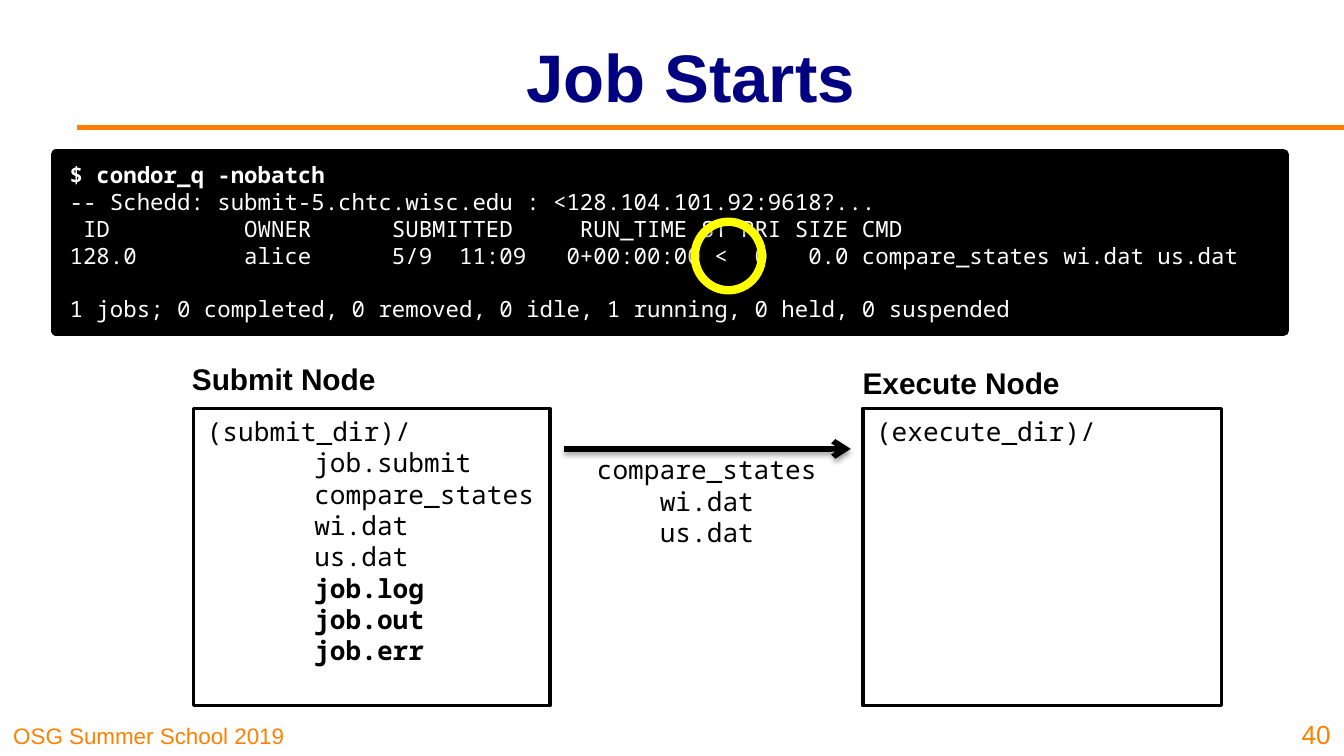
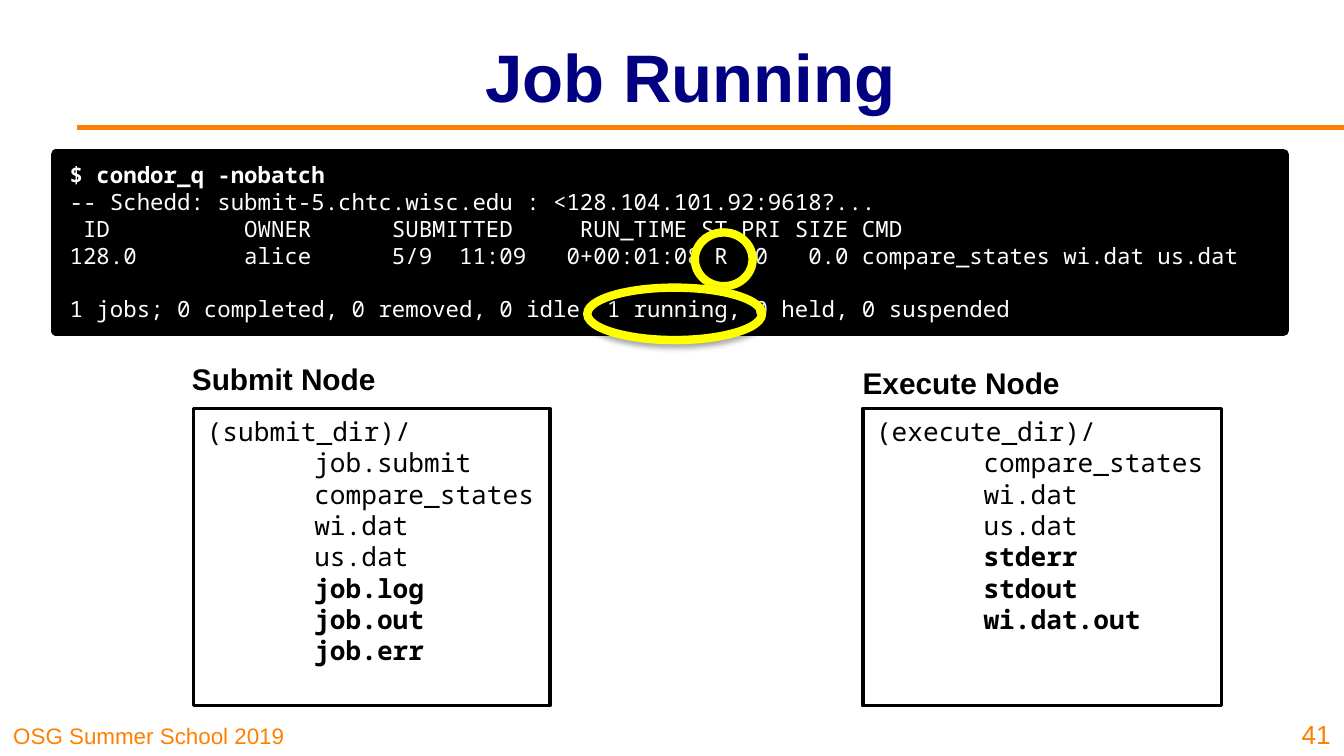
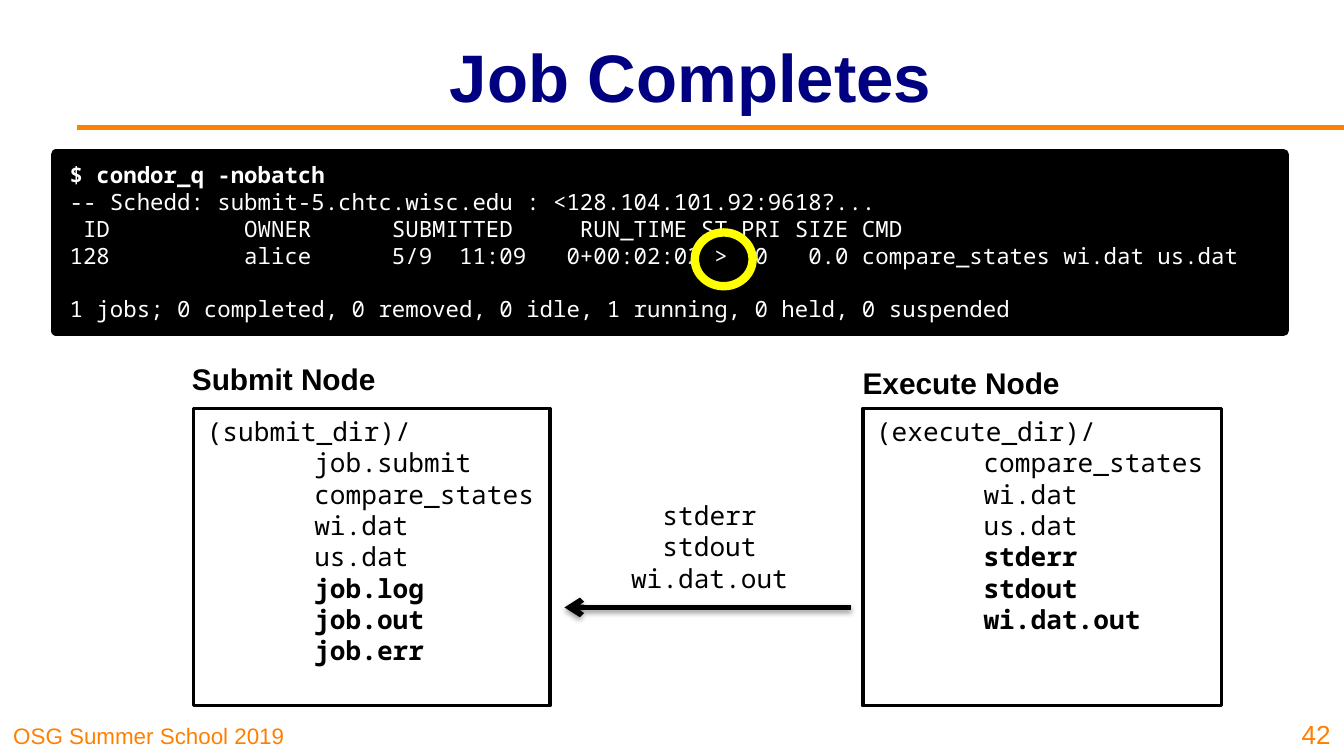
from lxml.etree import SubElement
from pptx import Presentation
from pptx.dml.color import RGBColor
from pptx.enum.shapes import MSO_CONNECTOR, MSO_SHAPE
from pptx.enum.text import MSO_ANCHOR, PP_ALIGN
from pptx.oxml.ns import qn
from pptx.util import Inches, Pt

COLORS = {
    "title": "000080",
    "accent": "FF8000",
    "ink": "000000",
    "paper": "FFFFFF",
    "highlight": "FFFF00",
}
COLORS = {name: RGBColor.from_string(value) for name, value in COLORS.items()}
SANS, MONO = "Arial", "Noto Sans Mono"
TOP, MIDDLE, BOTTOM = MSO_ANCHOR.TOP, MSO_ANCHOR.MIDDLE, MSO_ANCHOR.BOTTOM
LEFT, CENTER, RIGHT = PP_ALIGN.LEFT, PP_ALIGN.CENTER, PP_ALIGN.RIGHT

deck = Presentation()
deck.slide_width, deck.slide_height = Inches(10), Inches(5.625)
CELL = deck.slide_width / 100


def write(box, text, font, size, color, bold=False, align=LEFT, anchor=TOP):
    frame = box.text_frame
    frame.word_wrap = True
    frame.vertical_anchor = anchor
    frame.text = text
    for para in frame.paragraphs:
        para.alignment = align
        for span in para.runs:
            span.font.name, span.font.size, span.font.bold = font, Pt(size), bold
            span.font.color.rgb = COLORS[color]
    return frame.paragraphs


def outline(shape, color, width, shadow=None):
    shape.line.color.rgb = COLORS[color]
    shape.line.width = Pt(width)
    effects = SubElement(shape._element.spPr, qn("a:effectLst"))
    if shadow:
        opacity, distance = shadow
        cast = SubElement(effects, qn("a:outerShdw"), blurRad=str(Pt(3.1)),
                          dist=str(Pt(distance)), dir="5400000", rotWithShape="0")
        tint = SubElement(cast, qn("a:srgbClr"), val=str(COLORS["ink"]))
        SubElement(tint, qn("a:alpha"), val=str(opacity * 1000))


SUBMIT_FILES = ["job.submit", "compare_states", "wi.dat", "us.dat", "job.log", "job.out", "job.err"]
INPUTS = ["compare_states", "wi.dat", "us.dat"]
OUTPUTS = ["stderr", "stdout", "wi.dat.out"]
SUBMIT_EDGE, EXECUTE_EDGE = 42, 63.3

STAGES = [
    {
        "title": "Job Starts",
        "job": "128.0        alice      5/9  11:09   0+00:00:00 <  0   0.0",
        "rings": [(51.7, 16.5, 5, 5.1)],
        "execute_files": [],
        "transfer": (INPUTS, (42.7, 31.9, 19.8, 10.7), (SUBMIT_EDGE, EXECUTE_EDGE), 33.4),
    },
    {
        "title": "Job Running",
        "job": "128.0        alice      5/9  11:09   0+00:01:08 R  0   0.0",
        "rings": [(51.7, 17.3, 4.3, 4), (43.7, 21.4, 13, 3.9)],
        "execute_files": INPUTS + OUTPUTS,
        "transfer": None,
    },
    {
        "title": "Job Completes",
        "job": "128          alice      5/9  11:09   0+00:02:02 >  0   0.0",
        "rings": [(51.7, 17.3, 4.3, 4)],
        "execute_files": INPUTS + OUTPUTS,
        "transfer": (OUTPUTS, (45.4, 35.7, 14.8, 9.9), (EXECUTE_EDGE, SUBMIT_EDGE), 45.2),
    },
]

for number, stage in enumerate(STAGES, start=40):
    page = deck.slides.add_slide(deck.slide_layouts[6])
    shapes = page.shapes

    rule = shapes.add_connector(MSO_CONNECTOR.STRAIGHT, *(int(n * CELL) for n in (5.7, 9.5, 100, 9.5)))
    outline(rule, "accent", 3)

    for text, area, style in [
        ("OSG Summer School 2019", (0, 53.1, 24.8, 3.1), (SANS, 12, "accent", False, LEFT, BOTTOM)),
        (stage["title"], (13.4, 0.9, 76, 9.4), (SANS, 36, "title", True, CENTER, MIDDLE)),
        (str(number), (95.4, 52.5, 4.6, 3.8), (SANS, 14, "accent", False, RIGHT, BOTTOM)),
        ("Submit Node", (13.3, 26, 16.8, 4.3), (SANS, 16, "ink", True, LEFT, MIDDLE)),
        ("Execute Node", (63.2, 26.3, 16.8, 4.3), (SANS, 16, "ink", True, LEFT, MIDDLE)),
    ]:
        box = shapes.add_textbox(*(int(n * CELL) for n in area))
        write(box, text, *style)

    if stage["transfer"]:
        files, area, (start, end), height = stage["transfer"]
        label = shapes.add_shape(MSO_SHAPE.RECTANGLE, *(int(n * CELL) for n in area))
        label.fill.solid()
        label.fill.fore_color.rgb = COLORS["paper"]
        outline(label, "paper", 2)
        write(label, "\n".join(files), MONO, 14, "ink", align=CENTER, anchor=MIDDLE)

        arrow = shapes.add_connector(
            MSO_CONNECTOR.STRAIGHT, *(int(n * CELL) for n in (start, height, end, height)))
        outline(arrow, "ink", 3, shadow=(38, 1.6))
        SubElement(arrow.line._get_or_add_ln(), qn("a:tailEnd"), type="arrow")

    terminal = shapes.add_shape(MSO_SHAPE.RECTANGLE, *(int(n * CELL) for n in (4.2, 11.5, 91.3, 13.1)))
    terminal.fill.solid()
    terminal.fill.fore_color.rgb = COLORS["ink"]
    outline(terminal, "ink", 6)
    lines = write(terminal, "\n".join([
        "$ condor_q -nobatch",
        "-- Schedd: submit-5.chtc.wisc.edu : <128.104.101.92:9618?...",
        " ID          OWNER      SUBMITTED     RUN_TIME ST PRI SIZE CMD",
        stage["job"] + " compare_states wi.dat us.dat",
        "1 jobs; 0 completed, 0 removed, 0 idle, 1 running, 0 held, 0 suspended",
    ]), MONO, 12, "paper")
    lines[0].runs[0].font.bold = True
    lines[-1].space_before = Pt(14.4)

    for folder, files, fresh, left, width in [
        ("(submit_dir)/", SUBMIT_FILES, SUBMIT_FILES[4:], 14.4, 26.5),
        ("(execute_dir)/", stage["execute_files"], OUTPUTS, 64.2, 26.7),
    ]:
        node = shapes.add_shape(MSO_SHAPE.RECTANGLE, *(int(n * CELL) for n in (left, 30.4, width, 22.1)))
        node.fill.solid()
        node.fill.fore_color.rgb = COLORS["paper"]
        outline(node, "ink", 2)
        for para in write(node, "\n".join([folder] + files), MONO, 14, "ink")[1:]:
            para._p.get_or_add_pPr().set("marL", str(int(8 * CELL)))
            para.runs[0].font.bold = para.text in fresh

    for area in stage["rings"]:
        ring = shapes.add_shape(MSO_SHAPE.OVAL, *(int(n * CELL) for n in area))
        ring.fill.background()
        outline(ring, "highlight", 4.5, shadow=(35, 1.8))

deck.save("out.pptx")
